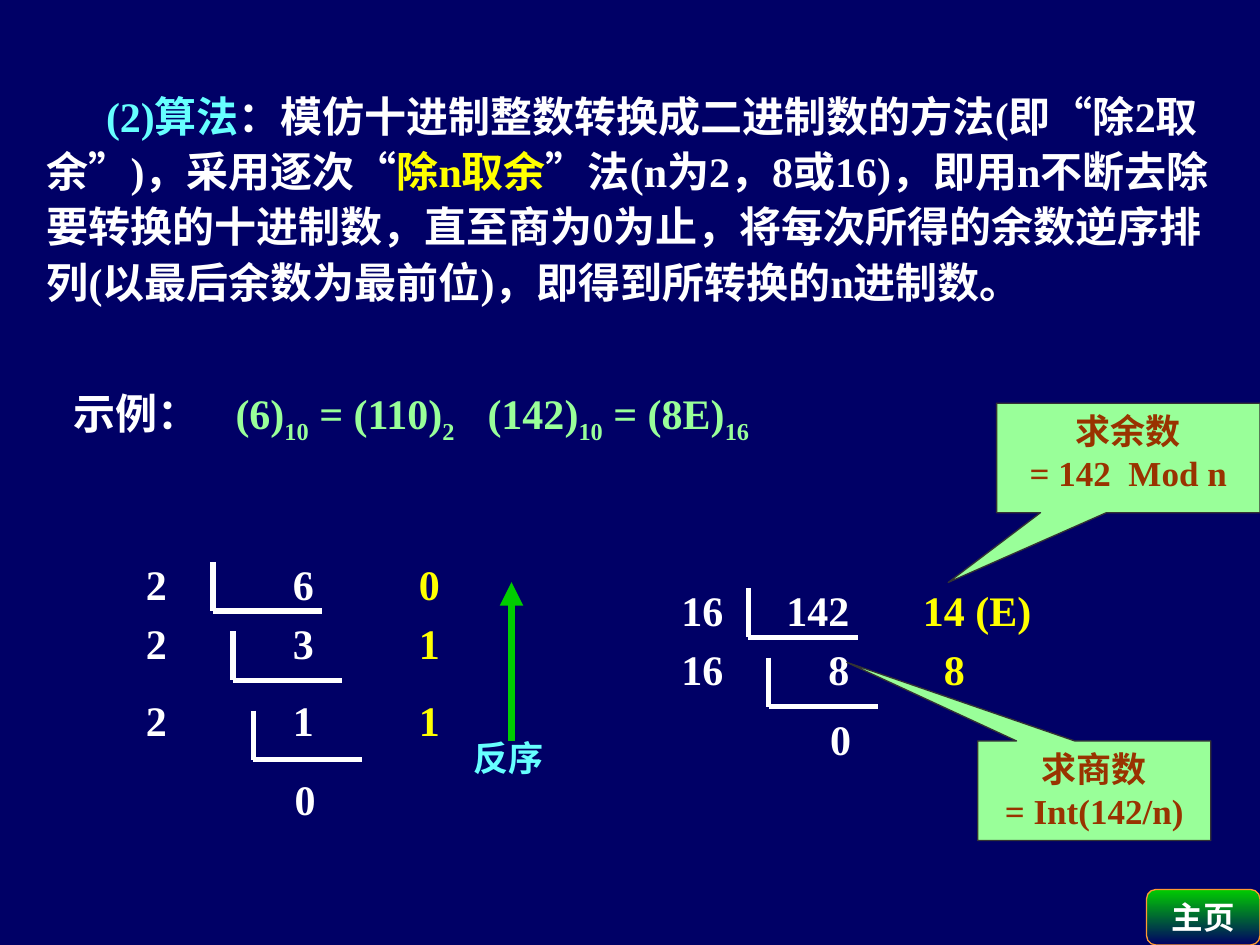
import pptx
import pptx.util
import pptx.dml.color
import pptx.enum.shapes
import pptx.enum.text
import pptx.oxml

Pt = pptx.util.Pt
SHAPES = pptx.enum.shapes.MSO_SHAPE
ALIGN = pptx.enum.text.PP_ALIGN
ANCHOR = pptx.enum.text.MSO_ANCHOR
NAMESPACE = 'xmlns:a="http://schemas.openxmlformats.org/drawingml/2006/main"'
FONT = "Times New Roman"
COLORS = {
    "navy": "000066", "white": "FFFFFF", "cyan": "66FFFF", "yellow": "FFFF00",
    "mint": "99FF99", "green": "00CC00", "brown": "993300", "gray": "333333",
    "orange": "FF9933",
}

ALGORITHM = [
    ("(2)算法", "cyan"),
    ("：模仿十进制整数转换成二进制数的方法(即“除2取余”)，采用逐次“", "white"),
    ("除n取余", "yellow"),
    ("”法(n为2，8或16)，即用n不断去除要转换的十进制数，直至商为0为止，"
     "将每次所得的余数逆序排列(以最后余数为最前位)，即得到所转换的n进制数。", "white"),
]
EXAMPLE = [
    ("示例：\t", "white"),
    ("(6)", "mint"), ("10", "mint", -25), (" = (110)", "mint"), ("2", "mint", -25),
    ("\t(142)", "mint"), ("10", "mint", -25), (" = (8E)", "mint"), ("16", "mint", -25),
]
DIVISIONS = [
    {"left": 76.3, "zero": (161.3, 438.5),
     "rows": [(315.4, "2", "6", "0", 156), (349.2, "2", "3", "1", 156),
              (393.1, "2", "1", "1", 156)],
     "brackets": [(121.7, 321.1), (133.2, 360.7), (144.7, 406.1)]},
    {"left": 382.3, "zero": (467.3, 403.9),
     "rows": [(330.5, "16", "142", "14 (E)", 138), (364.3, "16", "8", "8", 150)],
     "brackets": [(427.7, 336.2), (439.2, 375.8)]},
]
CALLOUTS = [
    (("求余数", "= 142  Mod n"), (569.5, 230.4, 150.5, 62.6), (-0.684, 1.137)),
    (("求商数", "= Int(142/n)"), (558.7, 423.4, 133.2, 56.9), (-1.062, -1.29)),
]
DIVIDEND_TAB = 96
BRACKET_WIDTH, BRACKET_HEIGHT = 62.4, 28.1


def color(name):
    return pptx.dml.color.RGBColor.from_string(COLORS[name])


def write(paragraph, pieces, size):
    for text, color_name, *baseline in pieces:
        run = paragraph.add_run()
        run.text = text
        run.font.name = FONT
        run.font.size = Pt(size)
        run.font.bold = True
        run.font.color.rgb = color(color_name)
        if baseline:
            run.font._element.set("baseline", str(baseline[0] * 1000))


def add_tabs(paragraph, stops):
    tabs = "".join(f'<a:tab pos="{Pt(position)}" algn="{align}"/>' for position, align in stops)
    paragraph._p.get_or_add_pPr().append(
        pptx.oxml.parse_xml(f"<a:tabLst {NAMESPACE}>{tabs}</a:tabLst>"))


def add_text(left, top, width, height, pieces, size=24):
    box = slide.shapes.add_textbox(Pt(left), Pt(top), Pt(width), Pt(height))
    box.text_frame.word_wrap = True
    paragraph = box.text_frame.paragraphs[0]
    write(paragraph, pieces, size)
    return paragraph


def add_line(x1, y1, x2, y2, color_name, width):
    line = slide.shapes.add_connector(
        pptx.enum.shapes.MSO_CONNECTOR.STRAIGHT, Pt(x1), Pt(y1), Pt(x2), Pt(y2))
    line.line.color.rgb = color(color_name)
    line.line.width = Pt(width)
    line._element.spPr.append(pptx.oxml.parse_xml(f"<a:effectLst {NAMESPACE}/>"))
    return line


def add_box(preset, frame, line_color):
    shape = slide.shapes.add_shape(preset, *map(Pt, frame))
    shape.shadow.inherit = False
    shape.line.color.rgb = color(line_color)
    shape.line.width = Pt(0.74)
    return shape


presentation = pptx.Presentation()
presentation.slide_width, presentation.slide_height = Pt(720), Pt(540)
slide = presentation.slides.add_slide(presentation.slide_layouts[1])
slide.background.fill.solid()
slide.background.fill.fore_color.rgb = color("navy")
title = slide.shapes.title._element
title.getparent().remove(title)

body = slide.placeholders[1]
body.left, body.top, body.width, body.height = Pt(19.4), Pt(45), Pt(680.4), Pt(476)
body.text_frame.auto_size = pptx.enum.text.MSO_AUTO_SIZE.NONE
body_paragraphs = [
    (body.text_frame.paragraphs[0], ALGORITHM, 34, 6, []),
    (body.text_frame.add_paragraph(), EXAMPLE, 15.5, 43, [(105, "l"), (339, "l")]),
]
for paragraph, pieces, indent, space, stops in body_paragraphs:
    write(paragraph, pieces, 24)
    paragraph.line_spacing = 1.1
    paragraph.space_before = Pt(space)
    properties = paragraph._p.get_or_add_pPr()
    properties.set("marL", "0")
    properties.set("indent", str(Pt(indent)))
    properties.append(pptx.oxml.parse_xml(f"<a:buNone {NAMESPACE}/>"))
    if stops:
        add_tabs(paragraph, stops)

for division in DIVISIONS:
    for x, y in division["brackets"]:
        bottom = y + BRACKET_HEIGHT
        add_line(x, y, x, bottom, "white", 3)
        add_line(x, bottom, x + BRACKET_WIDTH, bottom, "white", 3)
    for top, divisor, dividend, remainder, remainder_tab in division["rows"]:
        pieces = [(f"{divisor}\t{dividend}\t", "white"), (remainder, "yellow")]
        paragraph = add_text(division["left"], top, 215, 36, pieces)
        add_tabs(paragraph, [(DIVIDEND_TAB, "r"), (remainder_tab, "l")])
    add_text(*division["zero"], 28, 36, [("0", "white")])

arrow = add_line(292.3, 332.6, 292.3, 423.4, "green", 4.5)
arrow.line._get_or_add_ln().append(pptx.oxml.parse_xml(f'<a:headEnd {NAMESPACE} type="triangle"/>'))
add_text(263.5, 417.6, 56.9, 31.7, [("反序", "cyan")], 20)

for lines, frame, pointer in CALLOUTS:
    callout = add_box(SHAPES.RECTANGULAR_CALLOUT, frame, "gray")
    callout.adjustments[0], callout.adjustments[1] = pointer
    callout.fill.solid()
    callout.fill.fore_color.rgb = color("mint")
    callout.text_frame.vertical_anchor = ANCHOR.TOP
    callout.text_frame.text = "\n".join(lines)
    for paragraph in callout.text_frame.paragraphs:
        paragraph.alignment = ALIGN.CENTER
        font = paragraph.runs[0].font
        font.name, font.size, font.bold = FONT, Pt(20), True
        font.color.rgb = color("brown")

button = add_box(SHAPES.ROUNDED_RECTANGLE, (655.2, 508.3, 64.8, 31.7), "orange")
button.fill.gradient()
button.fill.gradient_angle = 270
for stop, name in zip(button.fill.gradient_stops, ("green", "navy")):
    stop.color.rgb = color(name)
button.text_frame.word_wrap = False
button.text_frame.vertical_anchor = ANCHOR.MIDDLE
button.text_frame.paragraphs[0].alignment = ALIGN.CENTER
write(button.text_frame.paragraphs[0], [("主页", "white")], 18)

presentation.save("out.pptx")
